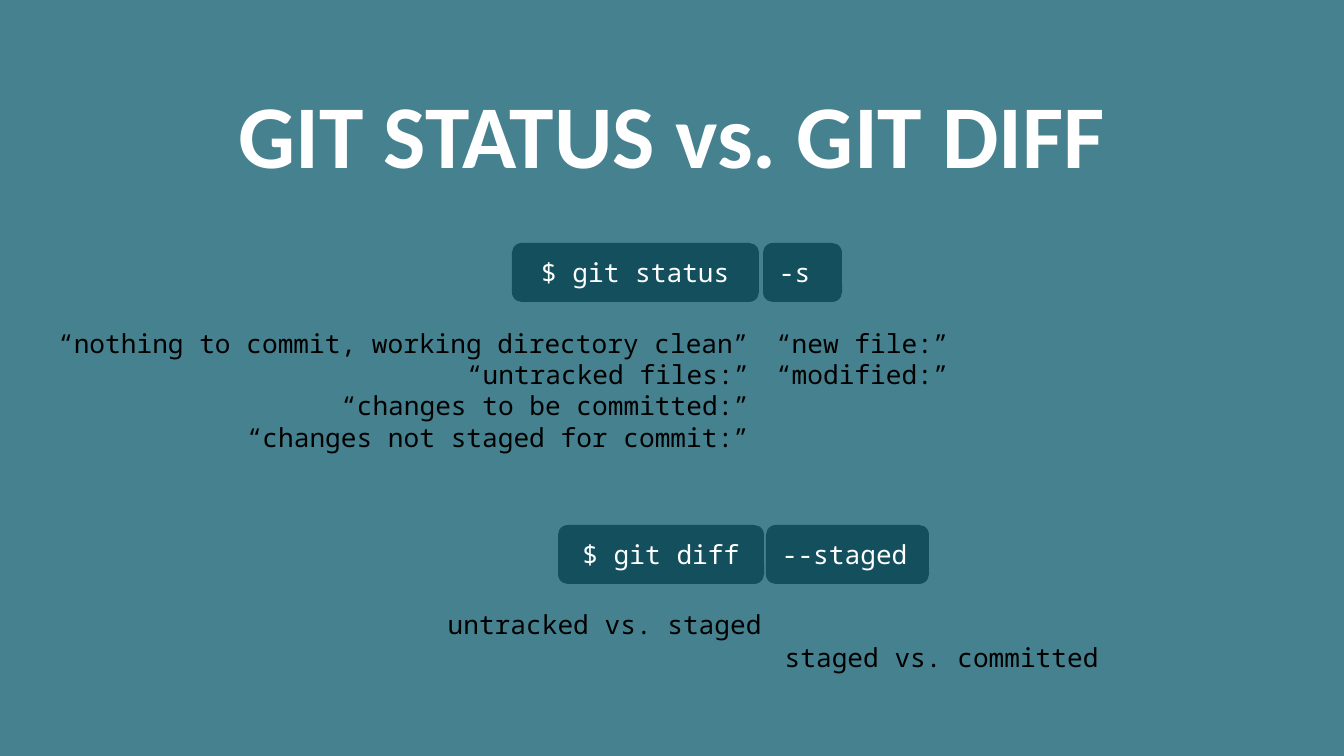
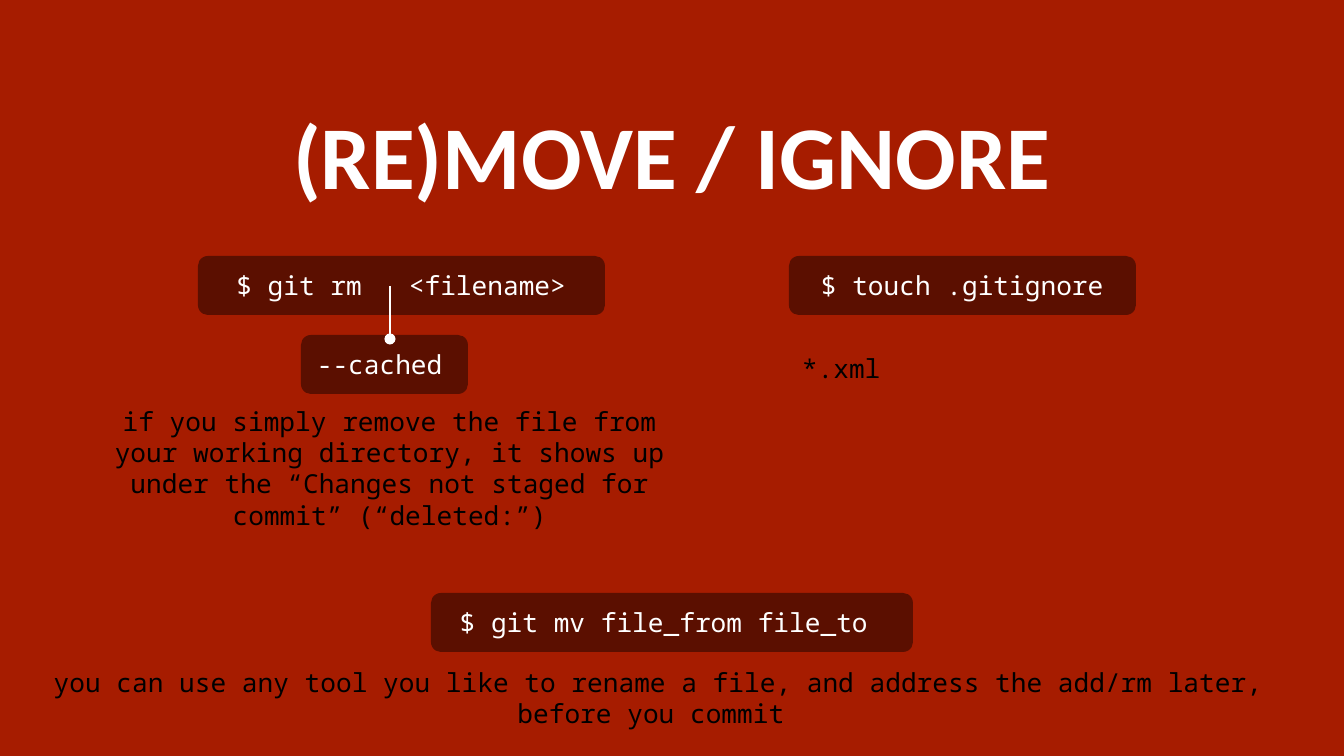
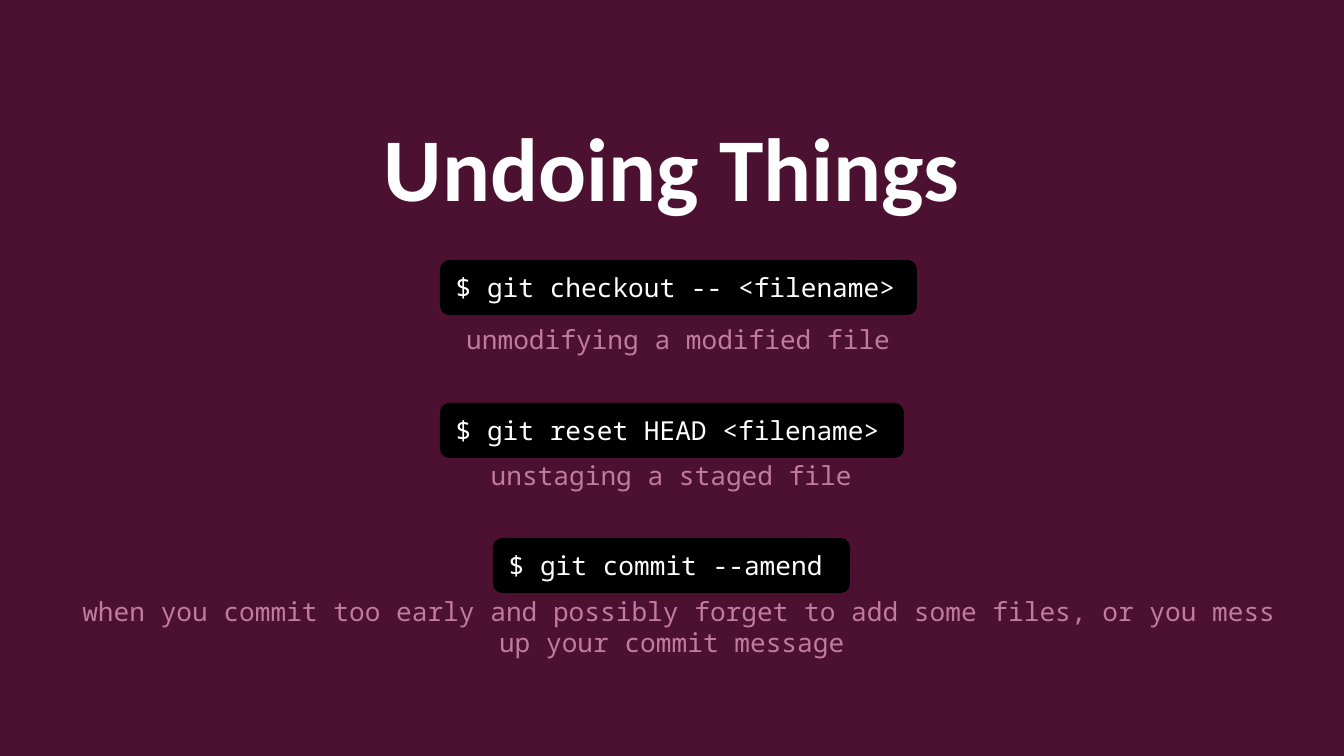
"""Build three slides on everyday git commands."""
from lxml.etree import SubElement
from pptx import Presentation
from pptx.dml.color import RGBColor
from pptx.enum.shapes import MSO_CONNECTOR, MSO_SHAPE
from pptx.enum.text import MSO_ANCHOR, MSO_AUTO_SIZE, PP_ALIGN
from pptx.oxml.ns import qn
from pptx.util import Pt

SLIDE_WIDTH, SLIDE_HEIGHT = 1344, 756
EMU_PER_PX = 9144000 / SLIDE_WIDTH
TITLE_LEFT, TITLE_WIDTH, TITLE_HEIGHT = 46, 1252, 85
INSET = 13
LEFT, CENTER, RIGHT = PP_ALIGN.LEFT, PP_ALIGN.CENTER, PP_ALIGN.RIGHT

COLORS = {
    "white": "FFFFFF", "black": "000000", "teal": "45818E", "dark teal": "134F5C",
    "red": "A61C00", "dark red": "5B0F00", "plum": "4C1130", "pink": "C27BA0",
}
TITLE_FONT = {"name": "Calibri", "size": Pt(48), "bold": True}
CODE_FONT = {"name": "Noto Sans Mono", "size": Pt(14)}

# Commands hold text, left, top, width and alignment; notes hold lines, left, top, width, height and alignment.
SLIDES = [
    {
        "title": "GIT STATUS vs. GIT DIFF", "title top": 66, "background": "teal",
        "command fill": "dark teal", "command height": 59, "note color": "black",
        "commands": [
            ("$ git status", 512, 243, 247, CENTER),
            ("-s", 763, 243, 79, LEFT),
            ("$ git diff", 558, 525, 206, CENTER),
            ("--staged", 766, 525, 163, LEFT),
        ],
        "notes": [
            (["“nothing to commit, working directory clean”", "“untracked files:”",
              "“changes to be committed:”", "“changes not staged for commit:”"],
             -315, 314, 1078, 126, RIGHT),
            (["“new file:”", "“modified:”"], 763, 314, 1078, 126, LEFT),
            (["untracked vs. staged"], 417, 595, 376, 69, CENTER),
            (["staged vs. committed"], 754, 628, 376, 69, CENTER),
        ],
        "pointers": [],
    },
    {
        "title": "(RE)MOVE / IGNORE", "title top": 87, "background": "red",
        "command fill": "dark red", "command height": 59, "note color": "black",
        "commands": [
            ("$ git rm   <filename>", 198, 256, 407, CENTER),
            ("--cached", 301, 335, 167, LEFT),
            ("$ touch .gitignore", 789, 256, 347, CENTER),
            ("$ git mv file_from file_to ", 431, 593, 482, CENTER),
        ],
        "notes": [
            (["if you simply remove the file from your working directory, it shows up "
              "under the “Changes not staged for commit” (“deleted:”)"],
             75, 392, 630, 126, CENTER),
            (["*.xml"], 789, 339, 245, 126, LEFT),
            (["you can use any tool you like to rename a file, and address the add/rm "
              "later, before you commit "], 24, 653, 1270, 85, CENTER),
        ],
        "pointers": [(390, 286, 390, 339)],
    },
    {
        "title": "Undoing Things", "title top": 99, "background": "plum",
        "command fill": "black", "command height": 55, "note color": "pink",
        "commands": [
            ("$ git checkout -- <filename>", 440, 260, 477, LEFT),
            ("$ git reset HEAD <filename>", 440, 403, 464, LEFT),
            ("$ git commit --amend", 493, 538, 357, LEFT),
        ],
        "notes": [
            (["unmodifying a modified file"], 440, 310, 477, 55, CENTER),
            (["unstaging a staged file"], 458, 446, 427, 55, CENTER),
            ([" when you commit too early and possibly forget to add some files, or you "
              "mess up your commit message"], 46, 582, 1252, 126, CENTER),
        ],
        "pointers": [],
    },
]


def px(*lengths):
    return [round(length * EMU_PER_PX) for length in lengths]


def set_values(target, values):
    for name, value in values.items():
        setattr(target, name, value)


def set_fill(fill, color):
    fill.solid()
    fill.fore_color.rgb = RGBColor.from_string(COLORS[color])


def write_text(shape, lines, font, color, alignment, anchor=MSO_ANCHOR.TOP):
    frame = shape.text_frame
    inset = px(INSET)[0]
    set_values(frame, {
        "text": "\n".join(lines), "word_wrap": True, "auto_size": MSO_AUTO_SIZE.NONE,
        "vertical_anchor": anchor, "margin_left": inset, "margin_right": inset,
        "margin_top": inset, "margin_bottom": inset,
    })
    for paragraph in frame.paragraphs:
        paragraph.alignment = alignment
        for run in paragraph.runs:
            set_values(run.font, font)
            run.font.color.rgb = RGBColor.from_string(COLORS[color])


def add_title(slide, text, top):
    title = slide.shapes.title
    box = px(TITLE_LEFT, top, TITLE_WIDTH, TITLE_HEIGHT)
    set_values(title, dict(zip(("left", "top", "width", "height"), box)))
    write_text(title, [text], TITLE_FONT, "white", CENTER)


def add_command(slide, text, box, fill, alignment):
    command = slide.shapes.add_shape(MSO_SHAPE.ROUNDED_RECTANGLE, *px(*box))
    command.shadow.inherit = False
    command.adjustments[0] = 0.167
    set_fill(command.fill, fill)
    command.line.fill.background()
    write_text(command, [text], CODE_FONT, "white", alignment, MSO_ANCHOR.MIDDLE)


def add_pointer(slide, ends):
    pointer = slide.shapes.add_connector(MSO_CONNECTOR.STRAIGHT, *px(*ends))
    pointer.line.width = Pt(0.75)
    set_fill(pointer.line.fill, "white")
    SubElement(pointer.line._get_or_add_ln(), qn("a:tailEnd"), type="oval")
    SubElement(pointer._element.spPr, qn("a:effectLst"))


def build_slide(presentation, content):
    slide = presentation.slides.add_slide(presentation.slide_layouts.get_by_name("Title Only"))
    set_fill(slide.background.fill, content["background"])
    add_title(slide, content["title"], content["title top"])
    for lines, *box, alignment in content["notes"]:
        note = slide.shapes.add_textbox(*px(*box))
        write_text(note, lines, CODE_FONT, content["note color"], alignment)
    for text, *place, alignment in content["commands"]:
        box = (*place, content["command height"])
        add_command(slide, text, box, content["command fill"], alignment)
    for ends in content["pointers"]:
        add_pointer(slide, ends)


def main():
    presentation = Presentation()
    presentation.slide_width, presentation.slide_height = px(SLIDE_WIDTH, SLIDE_HEIGHT)
    for content in SLIDES:
        build_slide(presentation, content)
    presentation.save("out.pptx")


if __name__ == "__main__":
    main()
